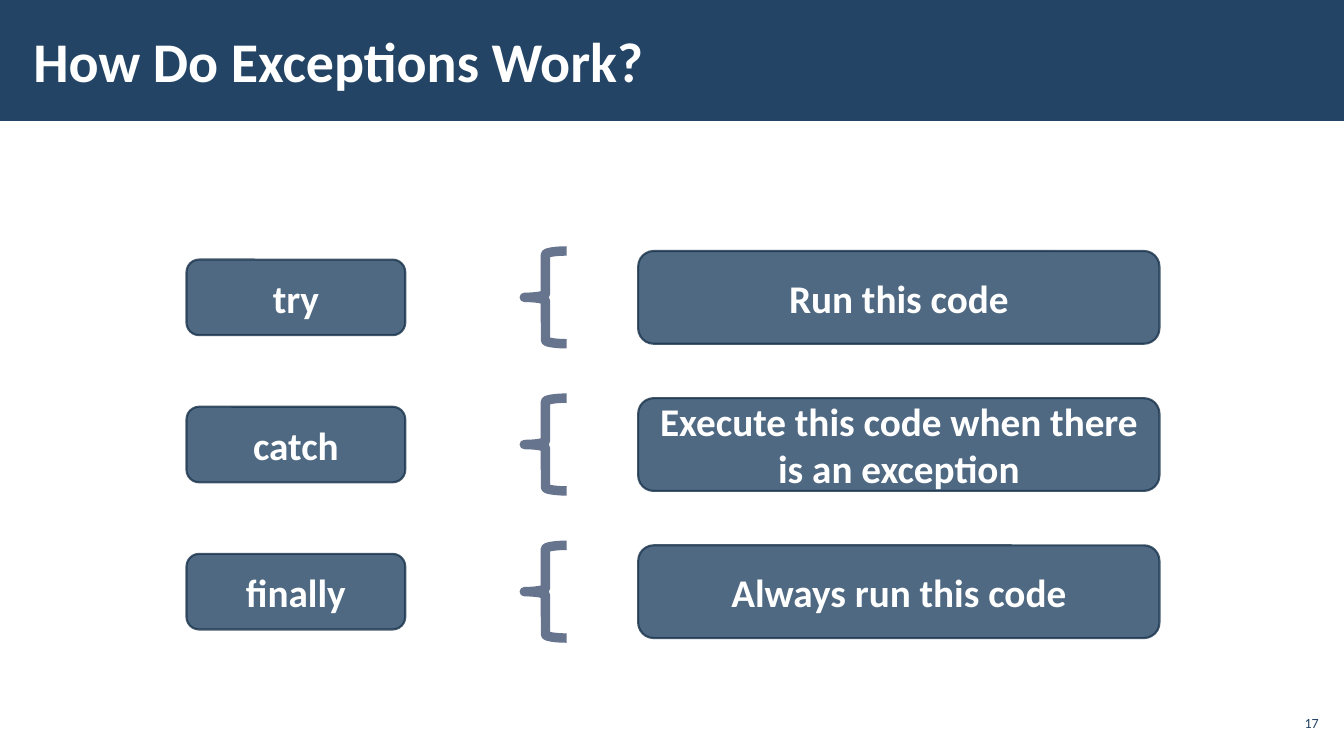
"""Build a slide on how try, catch and finally work."""
from lxml import etree
from pptx import Presentation
from pptx.dml.color import RGBColor
from pptx.enum.shapes import MSO_SHAPE as Shape
from pptx.enum.text import MSO_ANCHOR as Anchor, PP_ALIGN as Align
from pptx.oxml.ns import qn
from pptx.util import Inches, Pt

TITLE = "How Do Exceptions Work?"
PAGE_NUMBER = "17"
CLAUSES = [
    ("try", "Run this code"),
    ("catch", "Execute this code when there is an exception"),
    ("finally", "Always run this code"),
]

FONT = "Calibri"
NAVY, DARK_NAVY, SLATE, WHITE = "234465", "1A334C", "67748E", "FFFFFF"
OPACITY = 80
FIRST_CENTER, ROW_PITCH = 2.95, 1.46
KEYWORD_LEFT, KEYWORD_WIDTH, KEYWORD_HEIGHT = 1.85, 2.17, 0.75
BRACE_LEFT, BRACE_WIDTH = 5.2, 0.42
ACTION_LEFT, ACTION_WIDTH, ACTION_HEIGHT = 6.33, 5.17, 0.92


def paint(color_format, color, opacity=100):
    color_format.fore_color.rgb = RGBColor.from_string(color)
    if opacity < 100:
        for element in color_format._xPr.iter(qn("a:srgbClr")):
            if element.find(qn("a:alpha")) is None:
                etree.SubElement(element, qn("a:alpha"), val=str(opacity * 1000))


def add_shape(slide, kind, box, fill=None, line=None, width=0, opacity=100):
    shape = slide.shapes.add_shape(kind, *map(Inches, box))
    shape.shadow.inherit = False
    for part, color in ((shape.fill, fill), (shape.line.fill, line)):
        if color:
            part.solid()
            paint(part, color, opacity)
        else:
            part.background()
    if line:
        shape.line.width = Pt(width)
    return shape


def write(shape, text, size, color, align, bold=False, margins=(0.1, 0.05)):
    frame = shape.text_frame
    frame.word_wrap = True
    frame.vertical_anchor = Anchor.MIDDLE
    frame.margin_left = frame.margin_right = Inches(margins[0])
    frame.margin_top = frame.margin_bottom = Inches(margins[1])
    paragraph = frame.paragraphs[0]
    paragraph.alignment = align
    run = paragraph.add_run()
    run.text = text
    run.font.name = FONT
    run.font.size = Pt(size)
    run.font.bold = bold
    run.font.color.rgb = RGBColor.from_string(color)


def add_clause_box(slide, text, left, width, height, center):
    box = (left, center - height / 2, width, height)
    shape = add_shape(slide, Shape.ROUNDED_RECTANGLE, box, NAVY, DARK_NAVY, 1.5, OPACITY)
    write(shape, text, 28, WHITE, Align.CENTER, bold=True)


def main():
    presentation = Presentation()
    presentation.slide_width = Inches(13.33)
    presentation.slide_height = Inches(7.5)
    slide = presentation.slides.add_slide(presentation.slide_layouts[6])

    add_shape(slide, Shape.RECTANGLE, (0, 0, 13.33, 1.2), NAVY)
    title = slide.shapes.add_textbox(*map(Inches, (0.21, 0.11, 10.39, 0.97)))
    write(title, TITLE, 40, WHITE, Align.LEFT, bold=True, margins=(0.12, 0.04))
    number = slide.shapes.add_textbox(*map(Inches, (12.65, 7, 0.47, 0.34)))
    write(number, PAGE_NUMBER, 10, NAVY, Align.RIGHT, margins=(0.04, 0.04))

    for row, (keyword, action) in enumerate(CLAUSES):
        center = FIRST_CENTER + row * ROW_PITCH
        add_clause_box(slide, keyword, KEYWORD_LEFT, KEYWORD_WIDTH, KEYWORD_HEIGHT, center)
        add_clause_box(slide, action, ACTION_LEFT, ACTION_WIDTH, ACTION_HEIGHT, center)
        brace = (BRACE_LEFT, center - ACTION_HEIGHT / 2, BRACE_WIDTH, ACTION_HEIGHT)
        add_shape(slide, Shape.LEFT_BRACE, brace, line=SLATE, width=6.75)

    presentation.save("out.pptx")


if __name__ == "__main__":
    main()
